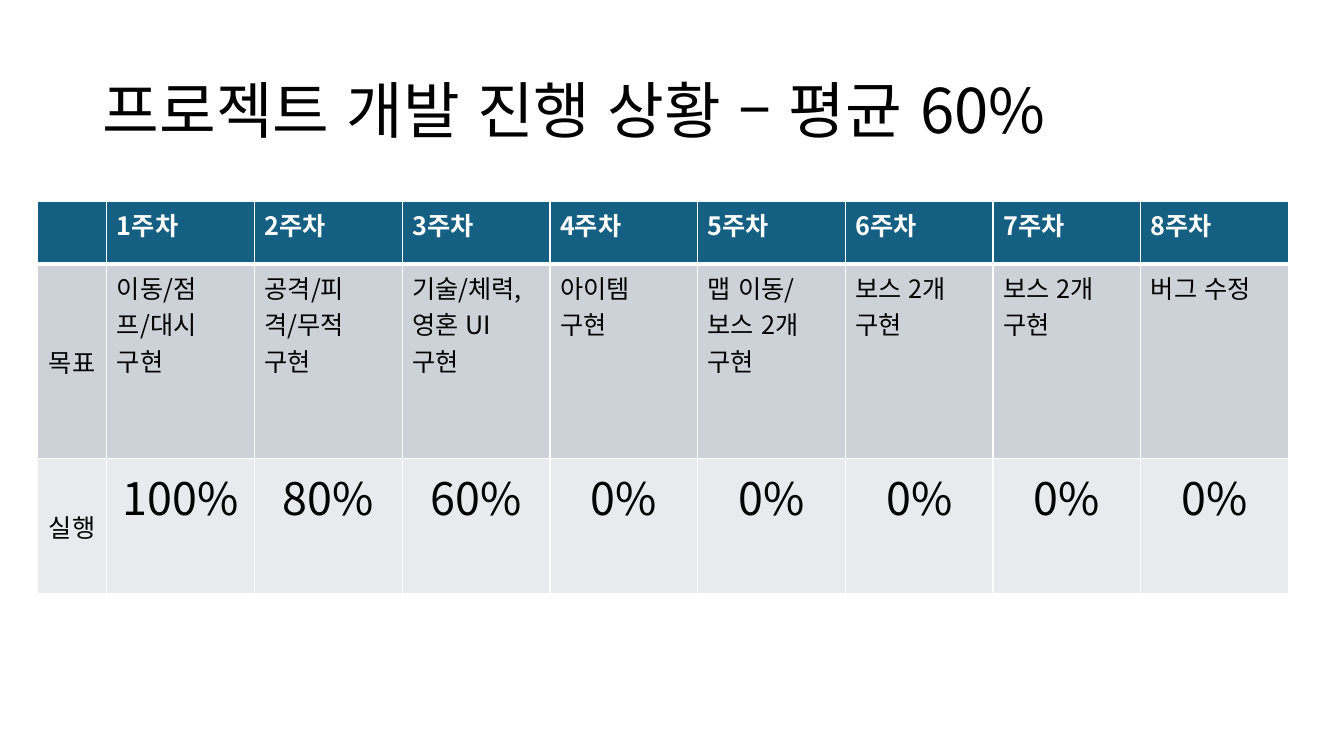
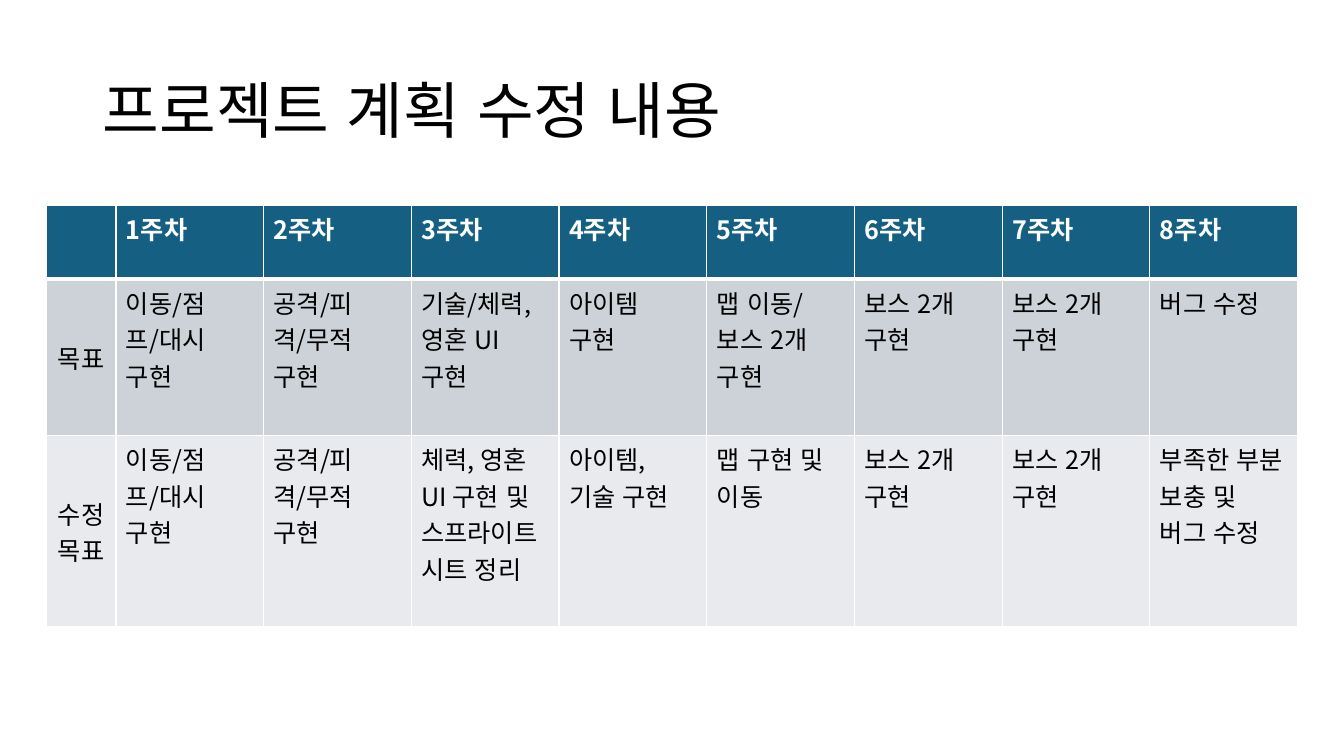
from dataclasses import dataclass

from lxml.etree import SubElement
from pptx import Presentation
from pptx.dml.color import RGBColor as Rgb
from pptx.enum.lang import MSO_LANGUAGE_ID as Lang
from pptx.enum.text import MSO_ANCHOR as Anchor, PP_ALIGN as Align
from pptx.oxml.ns import qn
from pptx.util import Inches, Pt


@dataclass(frozen=True)
class Theme:
    font: str = "Noto Sans CJK KR"
    ink: str = "000000"
    paper: str = "FFFFFF"
    header: str = "156082"
    bands: tuple = ("CCD2D8", "E8EAED")
    title_size: int = 44
    body_size: int = 18
    rate_size: int = 32
    rule: int = 1
    header_rule: int = 3


class Deck:
    """Holds the theme and the slide being built."""

    def __init__(self, theme):
        self.theme = theme
        self.prs = Presentation()
        self.prs.slide_width, self.prs.slide_height = Inches(13.33), Inches(7.5)
        self.slide = None

    def style(self, paragraph, size, color, bold=False, align=Align.LEFT):
        paragraph.alignment = align
        font = paragraph.font
        font.name, font.size, font.bold = self.theme.font, Pt(size), bold
        font.color.rgb = Rgb.from_string(color)
        font.language_id = Lang.KOREAN
        # East Asian typeface; punctuation stays inside the cell
        props = paragraph._p.pPr
        props.set("hangingPunct", "0")
        SubElement(props.find(qn("a:defRPr")), qn("a:ea"),
                   typeface=self.theme.font)

    def add_slide(self, title):
        self.slide = self.prs.slides.add_slide(self.prs.slide_layouts[6])
        heading = self.slide.shapes.add_textbox(
            Inches(0.92), Inches(0.4), Inches(11.5), Inches(1.45)).text_frame
        heading.word_wrap = True
        heading.vertical_anchor = Anchor.MIDDLE
        heading.text = title
        heading.paragraphs[0].line_spacing = 0.9
        self.style(heading.paragraphs[0], self.theme.title_size, self.theme.ink)

    def border(self, cell, bottom):
        props = cell._tc.get_or_add_tcPr()
        widths = {"L": self.theme.rule, "R": self.theme.rule,
                  "T": self.theme.rule, "B": bottom}
        for side, width in widths.items():
            line = SubElement(props, qn(f"a:ln{side}"), w=str(Pt(width)))
            fill = SubElement(line, qn("a:solidFill"))
            SubElement(fill, qn("a:srgbClr"), val=self.theme.paper)

    def fill_cell(self, cell, text, fill, bottom, anchor=Anchor.TOP, **style):
        self.border(cell, bottom)
        cell.fill.solid()
        cell.fill.fore_color.rgb = Rgb.from_string(fill)
        cell.vertical_anchor = anchor
        cell.text = text
        for paragraph in cell.text_frame.paragraphs:
            self.style(paragraph, **style)

    def add_plan(self, left, top, heights, rows, rates=False):
        """Weekly plan; with rates, the last row shows large percentages."""
        t = self.theme
        total, label_width = 12.41, 0.69
        week_width = (total - label_width) / len(WEEKS)
        widths = [label_width] + [week_width] * len(WEEKS)
        plan = self.slide.shapes.add_table(
            len(heights), len(widths), Inches(left), Inches(top),
            Inches(total), Inches(sum(heights))).table
        for column, width in zip(plan.columns, widths):
            column.width = Inches(width)
        for row, height in zip(plan.rows, heights):
            row.height = Inches(height)

        # Header row
        for cell, text in zip(plan.rows[0].cells, ["", *WEEKS]):
            self.fill_cell(cell, text, t.header, t.header_rule,
                           size=t.body_size, color=t.paper, bold=True)

        # Body rows: a centred label, then one cell per week
        for r, ((label, entries), band) in enumerate(zip(rows, t.bands), 1):
            self.fill_cell(plan.cell(r, 0), label, band, t.rule, Anchor.MIDDLE,
                           size=t.body_size, color=t.ink, align=Align.CENTER)
            large = rates and r == len(rows)
            for c, entry in enumerate(entries, 1):
                self.fill_cell(plan.cell(r, c), entry, band, t.rule,
                               size=t.rate_size if large else t.body_size,
                               color=t.ink,
                               align=Align.CENTER if large else Align.LEFT)


WEEKS = [f"{n}주차" for n in range(1, 9)]
MOVES = ["이동/점프/대시\n구현", "공격/피격/무적\n구현"]
BOSSES = ["보스 2개 구현"] * 2
GOALS = [*MOVES, "기술/체력, 영혼 UI\n구현", "아이템\n구현",
         "맵 이동/ 보스 2개 구현", *BOSSES, "버그 수정"]
REVISED = [*MOVES, "체력, 영혼 UI 구현 및 스프라이트 시트 정리", "아이템, 기술 구현",
           "맵 구현 및 이동", *BOSSES, "부족한 부분 보충 및 버그 수정"]
RATES = [f"{rate}%" for rate in (100, 80, 60, 0, 0, 0, 0, 0)]


def main():
    deck = Deck(Theme())

    # Progress by week
    deck.add_slide("프로젝트 개발 진행 상황 – 평균 60%")
    deck.add_plan(0.37, 2, [0.62, 1.93, 1.34],
                  [("목표", GOALS), ("실행", RATES)], rates=True)

    # Revised plan
    deck.add_slide("프로젝트 계획 수정 내용")
    deck.add_plan(0.46, 2.04, [0.73, 1.55, 1.9],
                  [("목표", GOALS), ("수정 목표", REVISED)])

    deck.prs.save("out.pptx")


if __name__ == "__main__":
    main()
